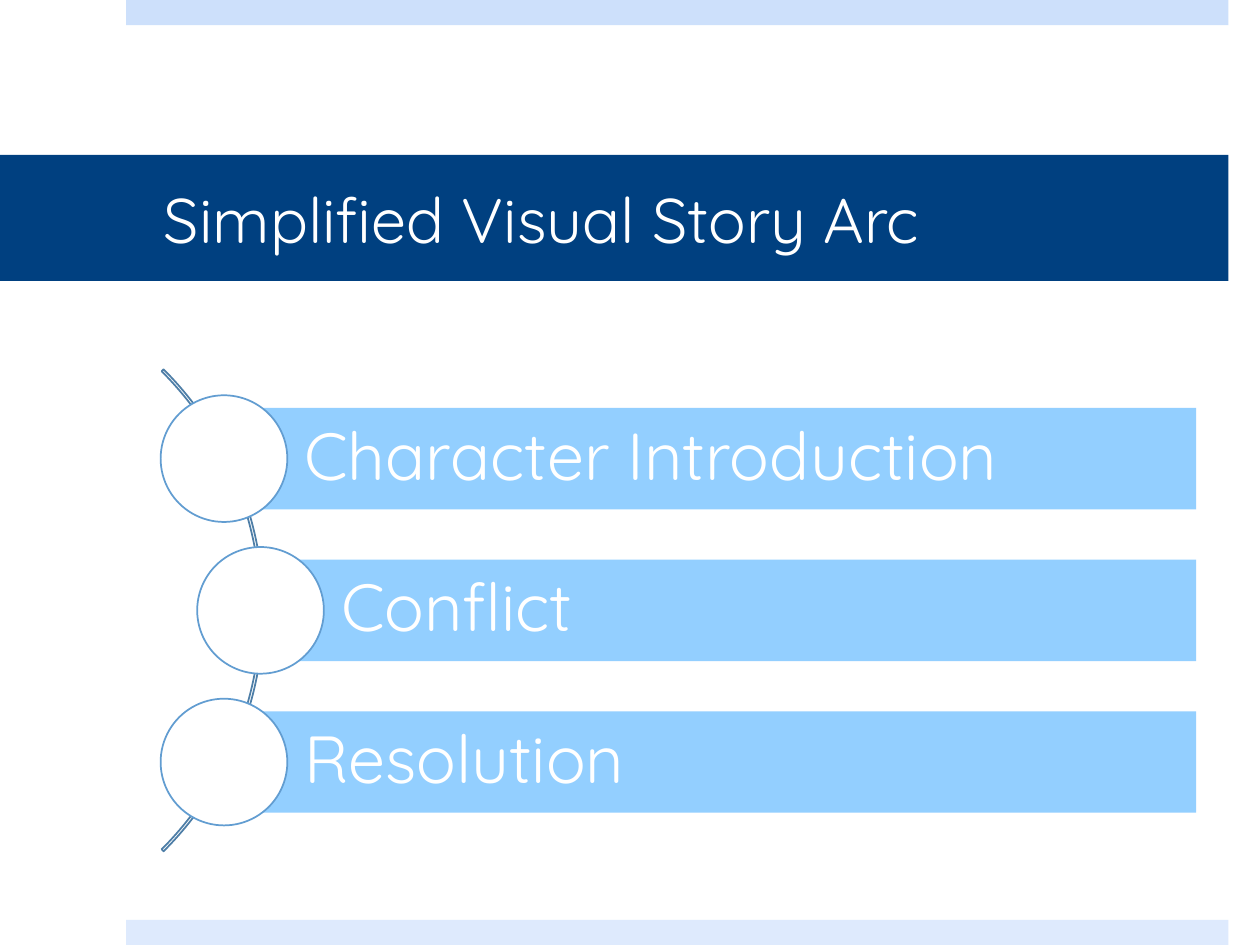
from pptx import Presentation
from pptx.dml.color import RGBColor
from pptx.enum.shapes import MSO_SHAPE
from pptx.enum.text import MSO_ANCHOR, PP_ALIGN
from pptx.util import Pt

WHITE = RGBColor(0xFF, 0xFF, 0xFF)
NAVY = RGBColor(0x00, 0x40, 0x80)
TOP_BLUE = RGBColor(0xCD, 0xE0, 0xFB)
BOTTOM_BLUE = RGBColor(0xDE, 0xEA, 0xFD)
BAR_BLUE = RGBColor(0x93, 0xCF, 0xFF)
CIRCLE_BLUE = RGBColor(0x62, 0x9D, 0xD1)
ARC_BLUE = RGBColor(0x4E, 0x7E, 0xA7)

presentation = Presentation()
presentation.slide_width = Pt(720)
presentation.slide_height = Pt(540)
slide = presentation.slides.add_slide(presentation.slide_layouts[6])


def add_shape(kind, left, top, width, height, fill=None, line=None):
    shape = slide.shapes.add_shape(kind, Pt(left), Pt(top), Pt(width), Pt(height))
    shape.shadow.inherit = False
    if fill is None:
        shape.fill.background()
    else:
        shape.fill.solid()
        shape.fill.fore_color.rgb = fill
    if line is None:
        shape.line.fill.background()
    else:
        shape.line.color.rgb = line
        shape.line.width = Pt(1)
    return shape


def set_text(shape, text, size, left_inset, right_inset, vertical_inset):
    frame = shape.text_frame
    frame.word_wrap = True
    frame.vertical_anchor = MSO_ANCHOR.MIDDLE
    frame.margin_left = Pt(left_inset)
    frame.margin_right = Pt(right_inset)
    frame.margin_top = frame.margin_bottom = Pt(vertical_inset)
    paragraph = frame.paragraphs[0]
    paragraph.text = text
    paragraph.alignment = PP_ALIGN.LEFT
    paragraph.font.name = "Quicksand"
    paragraph.font.size = Pt(size)
    paragraph.font.color.rgb = WHITE
    return paragraph


add_shape(MSO_SHAPE.RECTANGLE, 72, 0, 630, 14.4, TOP_BLUE)
add_shape(MSO_SHAPE.RECTANGLE, 72, 525.6, 630, 14.4, BOTTOM_BLUE)

title = add_shape(MSO_SHAPE.RECTANGLE, 0, 88.5, 702, 72, NAVY)
set_text(title, "Simplified Visual Story Arc", 36, 93.6, 21.6, 3.6)

arc = add_shape(MSO_SHAPE.BLOCK_ARC, -239, 154, 389.5, 389.5, line=ARC_BLUE)
arc.adjustments[0] = 189
arc.adjustments[1] = 27
arc.adjustments[2] = 0.004

DIAMETER = 72.4
BAR_HEIGHT = 58
BAR_RIGHT = 683.5
FIRST_CENTER = 262.1
PITCH = 86.7

stages = [("Character Introduction", 128), ("Conflict", 148.9), ("Resolution", 128)]
for index, (name, center_x) in enumerate(stages):
    center_y = FIRST_CENTER + index * PITCH
    bar = add_shape(MSO_SHAPE.RECTANGLE, center_x, center_y - BAR_HEIGHT / 2,
                    BAR_RIGHT - center_x, BAR_HEIGHT, BAR_BLUE)
    paragraph = set_text(bar, name, 38, 46, 8, 8)
    paragraph.line_spacing = 0.9
    add_shape(MSO_SHAPE.OVAL, center_x - DIAMETER / 2, center_y - DIAMETER / 2,
              DIAMETER, DIAMETER, WHITE, CIRCLE_BLUE)

presentation.save("out.pptx")
